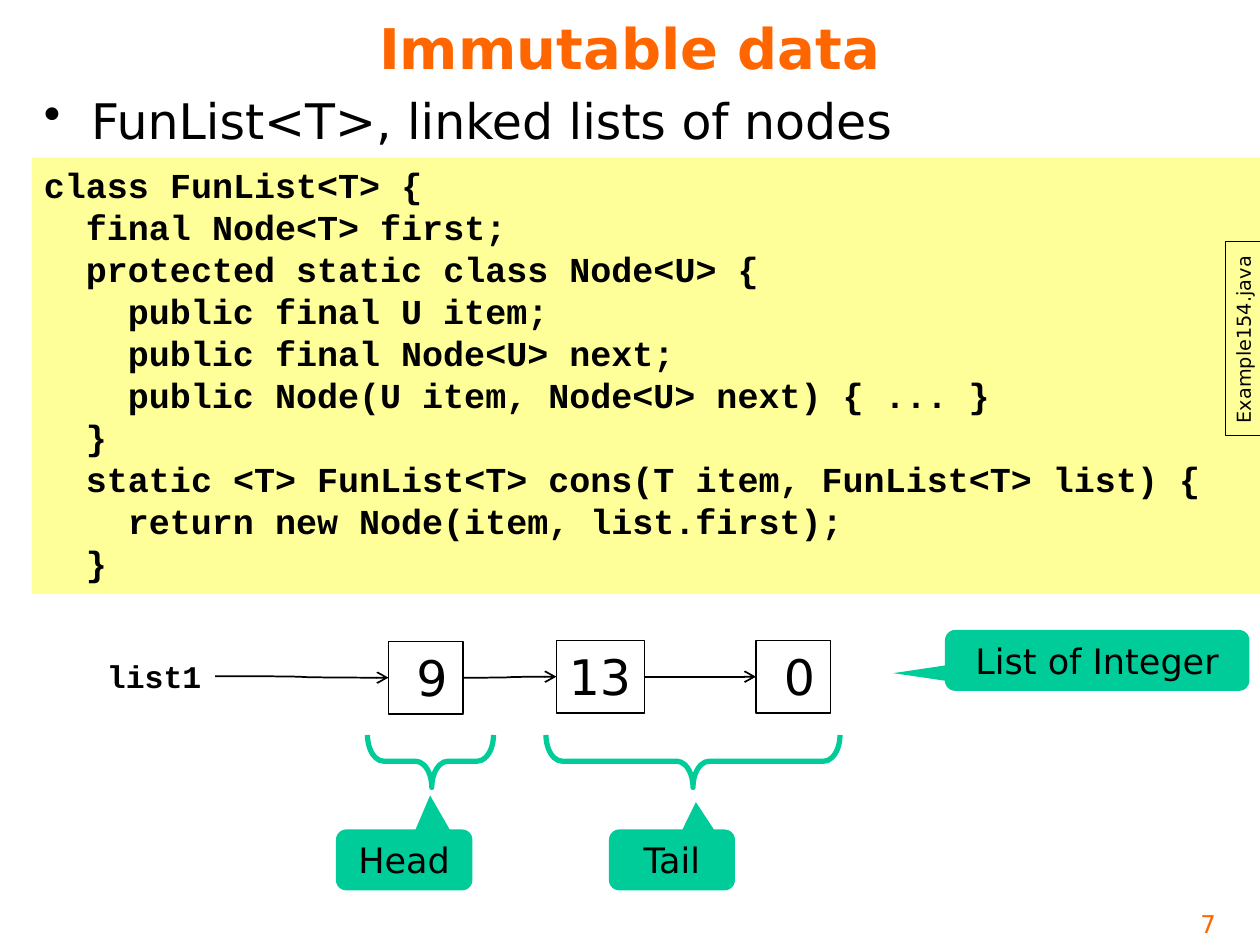
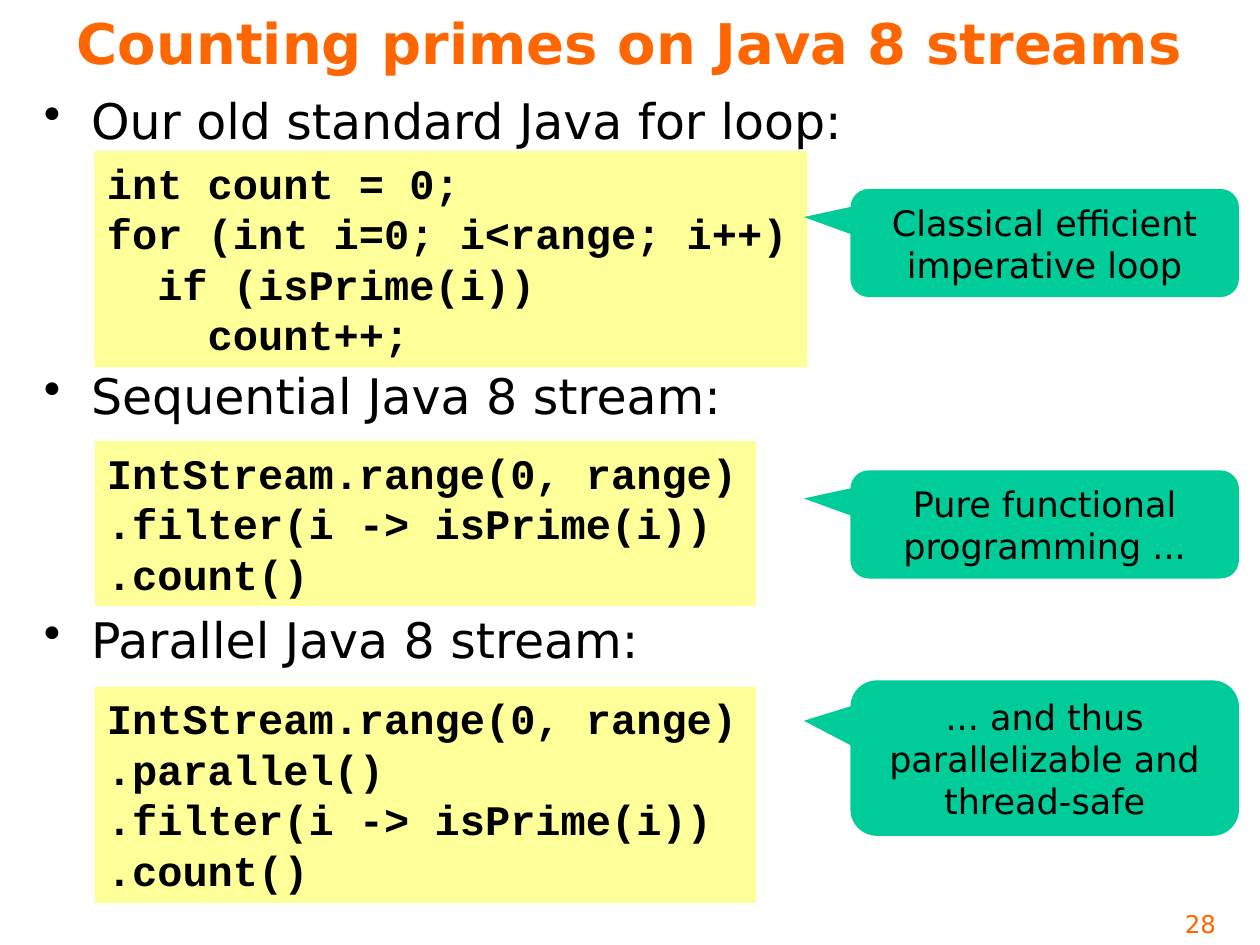
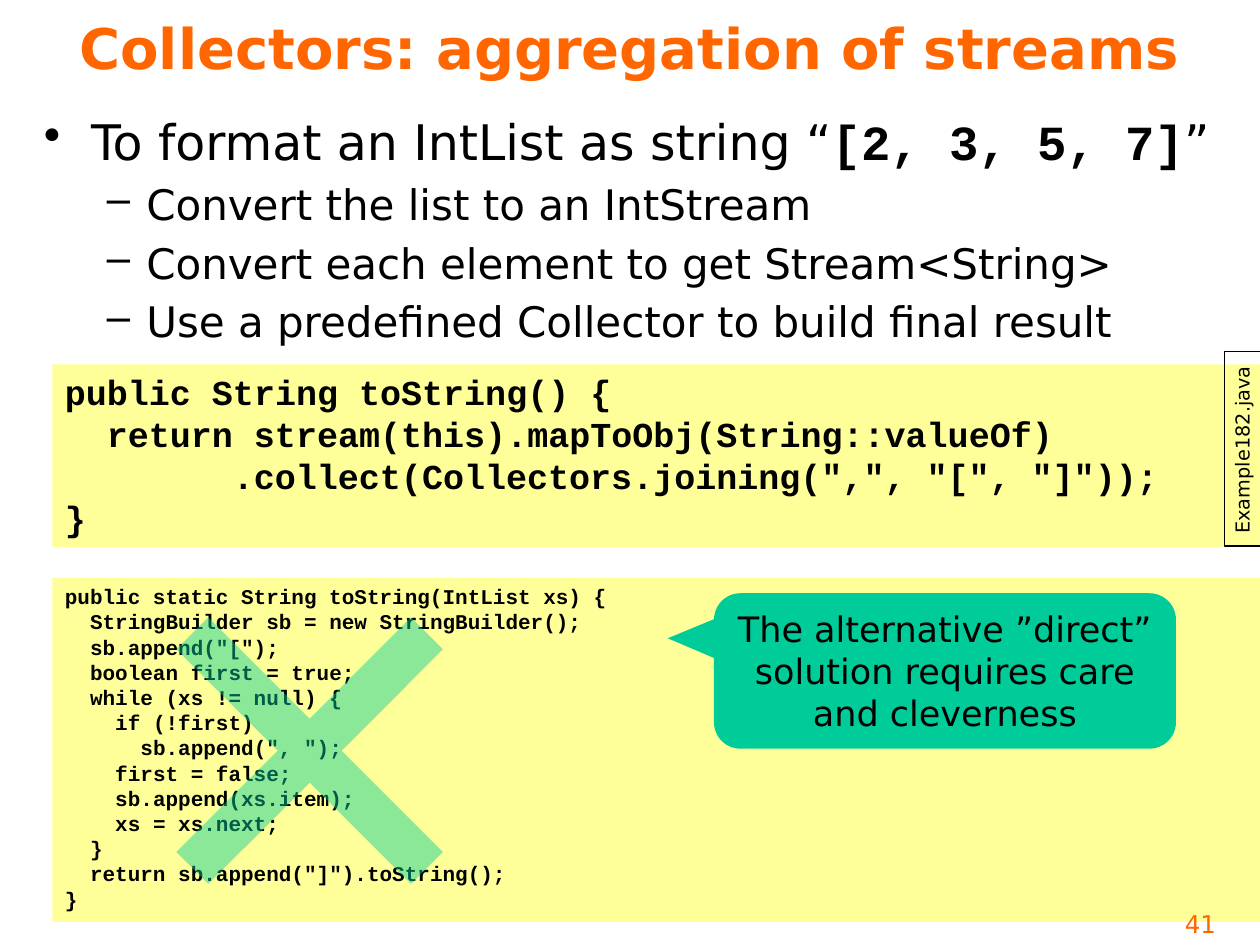
"""Build three slides on immutable lists, prime counting and stream collectors."""
from dataclasses import dataclass

from lxml.etree import SubElement
from pptx import Presentation
from pptx.dml.color import RGBColor
from pptx.enum.shapes import MSO_CONNECTOR, MSO_SHAPE
from pptx.enum.text import MSO_ANCHOR, MSO_AUTO_SIZE, PP_ALIGN
from pptx.oxml.ns import qn
from pptx.util import Inches, Pt


@dataclass(frozen=True)
class Theme:
    text_font: str = "DejaVu Sans"
    code_font: str = "Courier New"
    ink: str = "000000"
    accent: str = "FF6600"
    paper: str = "FFFF99"
    mint: str = "00CC99"
    title: int = 32
    body: int = 28
    detail: int = 24
    callout: int = 20
    label: int = 18
    number: int = 14
    small_code: int = 12
    tag: int = 11


theme = Theme()
CELL = Inches(1) // 12
COLUMNS, ROWS = 120, 90
CODE_CHARACTER = 0.6


def draw(page, kind, left, top, width, height, fill=None, line=None, weight=0.75,
         rotation=0, adjust=()):
    """Place a shape, or a text box when kind is None, on the grid."""
    place = [round(cells * CELL) for cells in (left, top, width, height)]
    if kind is None:
        return page.shapes.add_textbox(*place)
    shape = page.shapes.add_shape(kind, *place)
    shape.shadow.inherit = False
    shape.rotation = rotation
    for index, value in enumerate(adjust):
        shape.adjustments[index] = value
    if fill:
        shape.fill.solid()
        shape.fill.fore_color.rgb = RGBColor.from_string(fill)
    else:
        shape.fill.background()
    if line:
        shape.line.color.rgb = RGBColor.from_string(line)
        shape.line.width = Pt(weight)
    else:
        shape.line.fill.background()
    return shape


def write(box, text, size, font=theme.text_font, color=theme.ink, bold=False,
          align=PP_ALIGN.LEFT, anchor=MSO_ANCHOR.TOP, wrap=True, bullet=None,
          indent=0, hanging=0, code=False):
    """Add one paragraph per line; backticks mark inline code, code keeps its indents."""
    frame = box.text_frame
    frame.word_wrap = wrap
    frame.auto_size = MSO_AUTO_SIZE.NONE if wrap else MSO_AUTO_SIZE.SHAPE_TO_FIT_TEXT
    frame.vertical_anchor = anchor
    if code:
        font, bold = theme.code_font, True
    for line in text.splitlines():
        para = frame.add_paragraph() if frame.text else frame.paragraphs[0]
        para.alignment = align
        properties = para._p.get_or_add_pPr()
        if code:
            spaces = len(line) - len(line.lstrip())
            line = line.lstrip()
            properties.set("marL", str(Pt(spaces * size * CODE_CHARACTER)))
            properties.set("indent", "0")
        if bullet:
            properties.set("marL", str(Pt(indent)))
            properties.set("indent", str(-Pt(hanging)))
            before = SubElement(properties, qn("a:spcBef"))
            SubElement(before, qn("a:spcPct")).set("val", "20000")
            SubElement(properties, qn("a:buChar")).set("char", bullet)
        for position, piece in enumerate(line.split("`")):
            inline_code = position % 2 == 1
            span = para.add_run()
            span.text = piece
            span.font.name = theme.code_font if inline_code else font
            span.font.size = Pt(size)
            span.font.bold = bold or inline_code
            span.font.color.rgb = RGBColor.from_string(color)


deck = Presentation()
deck.slide_width, deck.slide_height = COLUMNS * CELL, ROWS * CELL
point = dict(size=theme.body, bullet="•", indent=27, hanging=27)
dash = dict(size=theme.detail, bullet="–", indent=58.5, hanging=22.5)
centred = dict(align=PP_ALIGN.CENTER, anchor=MSO_ANCHOR.MIDDLE)

pages = []
for title, number, title_rows in [
    ("Immutable data", "7", 9),
    ("Counting primes on Java 8 streams", "28", 8),
    ("Collectors: aggregation of streams", "41", 9),
]:
    page = deck.slides.add_slide(deck.slide_layouts[6])
    write(draw(page, None, 3, 0, 114, title_rows), title, theme.title,
          color=theme.accent, bold=True, **centred)
    write(draw(page, None, 109, 86, 8, 4), number, theme.number,
          color=theme.accent, align=PP_ALIGN.RIGHT)
    pages.append(page)
list_page, primes_page, collectors_page = pages

write(draw(list_page, None, 3, 8, 117, 73), "FunList<T>, linked lists of nodes", **point)
class_code = """class FunList<T> {
  final Node<T> first;
  protected static class Node<U> {
    public final U item;
    public final Node<U> next;
    public Node(U item, Node<U> next) { ... }
  }
  static <T> FunList<T> cons(T item, FunList<T> list) {
    return new Node(item, list.first);
  }"""
write(draw(list_page, MSO_SHAPE.RECTANGLE, 3, 15, 117, 41.6, fill=theme.paper),
      class_code, theme.callout, code=True)

previous = draw(list_page, None, 9, 62, 11.5, 4.8)
write(previous, "list1", theme.label, code=True, wrap=False)
for value, left, top, width in [(" 9", 37, 61.1, 7.1), ("13", 53, 61, 8.4), (" 0", 72, 61, 7.1)]:
    node = draw(list_page, MSO_SHAPE.RECTANGLE, left, top, width, 6.9, line=theme.ink)
    write(node, value, theme.body, wrap=False)
    arrow = list_page.shapes.add_connector(MSO_CONNECTOR.CURVE, 0, 0, 0, 0)
    arrow.begin_connect(previous, 3)
    arrow.end_connect(node, 1)
    arrow.line.color.rgb = RGBColor.from_string(theme.ink)
    arrow.line.width = Pt(1)
    SubElement(arrow.line._get_or_add_ln(), qn("a:tailEnd")).set("type", "arrow")
    SubElement(arrow._element.spPr, qn("a:effectLst"))
    previous = node

for left, top, span_columns, middle in [(63.5, 58.5, 28, 0.5), (38.5, 66.5, 12, 0.49)]:
    draw(list_page, MSO_SHAPE.RIGHT_BRACE, left, top, 5, span_columns, line=theme.mint,
         weight=3, rotation=90, adjust=(0.31, middle))

for heading, heading_row, code_row, columns, rows, code in [
    ("Our old standard Java for loop:", 8, 14.4, 67.9, 20.6, """int count = 0;
for (int i=0; i<range; i++)
  if (isPrime(i))
    count++;"""),
    ("Sequential Java 8 stream:", 34.2, 42, 63, 15.7, """IntStream.range(0, range)
.filter(i -> isPrime(i))
.count()"""),
    ("Parallel Java 8 stream:", 57.5, 65.4, 63, 20.6, """IntStream.range(0, range)
.parallel()
.filter(i -> isPrime(i))
.count()"""),
]:
    write(draw(primes_page, None, 3, heading_row, 114, 7), heading, **point)
    write(draw(primes_page, MSO_SHAPE.RECTANGLE, 9, code_row, columns, rows, fill=theme.paper),
          code, theme.detail, code=True)

direct_code = """public static String toString(IntList xs) {
  StringBuilder sb = new StringBuilder();
  sb.append("[");
  boolean first = true;
  while (xs != null) {
    if (!first)
      sb.append(", ");
    first = false;
    sb.append(xs.item);
    xs = xs.next;
  }
  return sb.append("]").toString();
}"""
collector_code = """public String toString() {
  return stream(this).mapToObj(String::valueOf)
        .collect(Collectors.joining(",", "[", "]"));
}"""
for code, top, rows, size in [
    (direct_code, 55, 32.8, theme.small_code),
    (collector_code, 34.7, 17.4, theme.callout),
]:
    panel = draw(collectors_page, MSO_SHAPE.RECTANGLE, 5, top, 115, rows, fill=theme.paper)
    collectors_page.shapes._spTree.insert(2, panel._element)
    write(panel, code, size, code=True)
steps = draw(collectors_page, None, 3, 10, 117, 73)
write(steps, "To format an IntList as string “`[2, 3, 5, 7]`”", **point)
write(steps, """Convert the list to an IntStream
Convert each element to get Stream<String>
Use a predefined Collector to build final result""", **dash)

for page, label, left, top in [
    (list_page, "Example154.java", 109.2, 30.5),
    (collectors_page, "Example182.java", 109.1, 41),
]:
    write(draw(page, MSO_SHAPE.RECTANGLE, left, top, 18.5, 3.5, line=theme.ink, rotation=270),
          label, theme.tag, wrap=False)

for page, remark, place, pointer in [
    (list_page, "List of Integer", (90, 60, 29, 5.8), (-0.67, 0.21)),
    (list_page, "Tail", (58, 79, 12, 5.8), (0.19, -0.95)),
    (list_page, "Head", (32, 79, 13, 5.8), (0.19, -1.06)),
    (primes_page, "Classical efficient imperative loop", (81, 18, 37, 10.3), (-0.62, -0.24)),
    (primes_page, "Pure functional programming ...", (81, 44.8, 37, 10.3), (-0.62, -0.24)),
    (primes_page, "... and thus parallelizable and thread-safe", (81, 64.8, 37, 14.8),
     (-0.62, -0.24)),
    (collectors_page, "The alternative ”direct” solution requires care and cleverness",
     (68, 56.5, 44, 14.8), (-0.6, -0.21)),
]:
    write(draw(page, MSO_SHAPE.ROUNDED_RECTANGULAR_CALLOUT, *place, fill=theme.mint,
               adjust=(*pointer, 0.17)), remark, theme.callout, **centred)

cross = draw(collectors_page, MSO_SHAPE.MATH_MULTIPLY, 8, 50, 43, 43, fill=theme.mint,
             adjust=(0.1,))
cross_color = cross._element.spPr.find(qn("a:solidFill")).find(qn("a:srgbClr"))
SubElement(cross_color, qn("a:alpha")).set("val", "45000")

deck.save("out.pptx")
